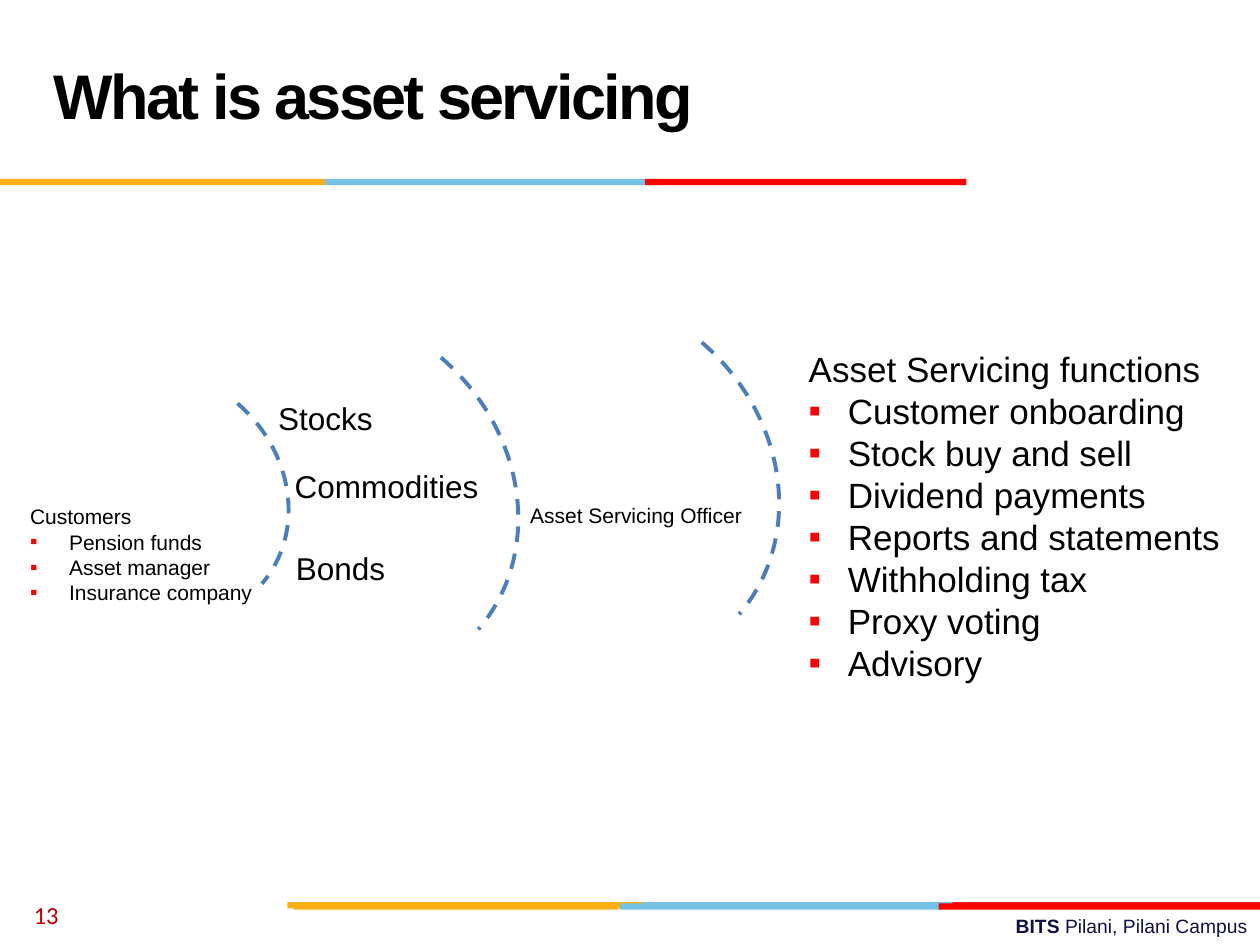
from dataclasses import dataclass

from lxml.etree import SubElement
from pptx import Presentation
from pptx.dml.color import RGBColor
from pptx.enum.dml import MSO_LINE
from pptx.enum.shapes import MSO_SHAPE
from pptx.enum.text import MSO_ANCHOR, MSO_AUTO_SIZE, PP_ALIGN
from pptx.oxml.ns import qn
from pptx.util import Inches, Pt

HUES = {
    "black": "000000", "navy": "101141", "maroon": "C00000",
    "gold": "FCB017", "sky": "76C2E5", "crimson": "E31C24",
    "red": "FF0000", "blue": "4B7EBC",
}


@dataclass
class Bar:
    left: float
    top: float
    width: float
    hue: str


@dataclass
class Arc:
    left: float
    top: float
    width: float
    height: float


@dataclass
class Label:
    left: float
    top: float
    width: float
    height: float
    size: int
    head: str
    items: tuple[str, ...] = ()


BARS = [
    Bar(5.06, 7.16, 2.55, "sky"),
    Bar(7.56, 7.16, 2.44, "crimson"),
    Bar(2.28, 7.16, 2.82, "gold"),
    Bar(4.92, 7.17, 2.55, "sky"),
    Bar(2.33, 7.17, 2.58, "gold"),
    Bar(7.45, 7.17, 2.55, "red"),
    Bar(2.58, 1.42, 2.55, "sky"),
    Bar(0, 1.42, 2.58, "gold"),
    Bar(5.12, 1.42, 2.55, "red"),
]
ARCS = [
    Arc(0.18, 2.97, 2.16, 1.92),
    Arc(0.93, 2.49, 3.26, 2.89),
    Arc(3, 2.37, 3.26, 2.89),
]
LABELS = [
    Label(2.11, 3.12, 0.96, 0.4, 18, "Stocks"),
    Label(2.24, 3.66, 1.67, 0.4, 18, "Commodities"),
    Label(2.25, 4.31, 0.92, 0.4, 18, "Bonds"),
    Label(0.14, 3.95, 1.98, 0.91, 12, "Customers",
          ("Pension funds", "Asset manager", "Insurance company")),
    Label(6.32, 2.71, 3.49, 2.79, 20, "Asset Servicing functions",
          ("Customer onboarding", "Stock buy and sell", "Dividend payments",
           "Reports and statements", "Withholding tax", "Proxy voting",
           "Advisory")),
    Label(4.11, 3.94, 1.9, 0.3, 12, "Asset Servicing Officer"),
]


def color(name: str) -> RGBColor:
    return RGBColor.from_string(HUES[name])


def style(font, size: int, hue: str = "black", bold: bool = False,
          face: str = "Arial") -> None:
    font.name = face
    font.size = Pt(size)
    font.bold = bold
    font.color.rgb = color(hue)


def add_box(slide, left: float, top: float, width: float, height: float):
    box = slide.shapes.add_textbox(
        Inches(left), Inches(top), Inches(width), Inches(height))
    box.text_frame.word_wrap = True
    return box.text_frame


def add_bar(slide, bar: Bar) -> None:
    shape = slide.shapes.add_shape(
        MSO_SHAPE.RECTANGLE, Inches(bar.left), Inches(bar.top),
        Inches(bar.width), Inches(0.05))
    shape.shadow.inherit = False
    shape.fill.solid()
    shape.fill.fore_color.rgb = color(bar.hue)
    shape.line.fill.background()


def add_arc(slide, arc: Arc) -> None:
    shape = slide.shapes.add_shape(
        MSO_SHAPE.ARC, Inches(arc.left), Inches(arc.top),
        Inches(arc.width), Inches(arc.height))
    shape.shadow.inherit = False
    shape.rotation = 40.6
    shape.fill.background()
    shape.line.color.rgb = color("blue")
    shape.line.width = Pt(2.25)
    shape.line.dash_style = MSO_LINE.DASH


def add_mark(para) -> None:
    props = para._p.get_or_add_pPr()
    props.set("marL", str(Inches(0.31)))
    props.set("indent", str(-Inches(0.31)))
    tint = SubElement(props, qn("a:buClr"))
    SubElement(tint, qn("a:srgbClr"), val=HUES["red"])
    SubElement(props, qn("a:buFont"), typeface="Arial")
    SubElement(props, qn("a:buChar"), char="▪")


def add_label(slide, label: Label) -> None:
    frame = add_box(slide, label.left, label.top, label.width, label.height)
    frame.word_wrap = False
    frame.auto_size = MSO_AUTO_SIZE.SHAPE_TO_FIT_TEXT
    frame.text = "\n".join((label.head, *label.items))
    for index, para in enumerate(frame.paragraphs):
        if index:
            add_mark(para)
        style(para.runs[0].font, label.size)


def add_title(slide) -> None:
    frame = add_box(slide, 0.33, 0.17, 9.33, 1.25)
    frame.vertical_anchor = MSO_ANCHOR.MIDDLE
    frame.text = "What is asset servicing"
    para = frame.paragraphs[0]
    para.line_spacing = Pt(36)
    font = para.runs[0].font
    style(font, 36, bold=True)
    font._element.set("spc", "-150")


def add_foot(slide) -> None:
    frame = add_box(slide, 3.58, 7.21, 6.42, 0.29)
    para = frame.paragraphs[0]
    para.alignment = PP_ALIGN.RIGHT
    for text, bold in (("BITS ", True), ("Pilani, Pilani Campus", False)):
        run = para.add_run()
        run.text = text
        style(run.font, 11, "navy", bold)


def add_number(slide) -> None:
    frame = add_box(slide, 0.17, 7.06, 2.33, 0.4)
    frame.vertical_anchor = MSO_ANCHOR.MIDDLE
    frame.text = "13"
    style(frame.paragraphs[0].runs[0].font, 14, "maroon", face="Calibri")


def main() -> None:
    deck = Presentation()
    deck.slide_width = Inches(10)
    deck.slide_height = Inches(7.5)
    slide = deck.slides.add_slide(deck.slide_layouts[6])
    add_foot(slide)
    for bar in BARS:
        add_bar(slide, bar)
    add_title(slide)
    add_number(slide)
    for arc in ARCS:
        add_arc(slide, arc)
    for label in LABELS:
        add_label(slide, label)
    deck.save("out.pptx")


if __name__ == "__main__":
    main()
